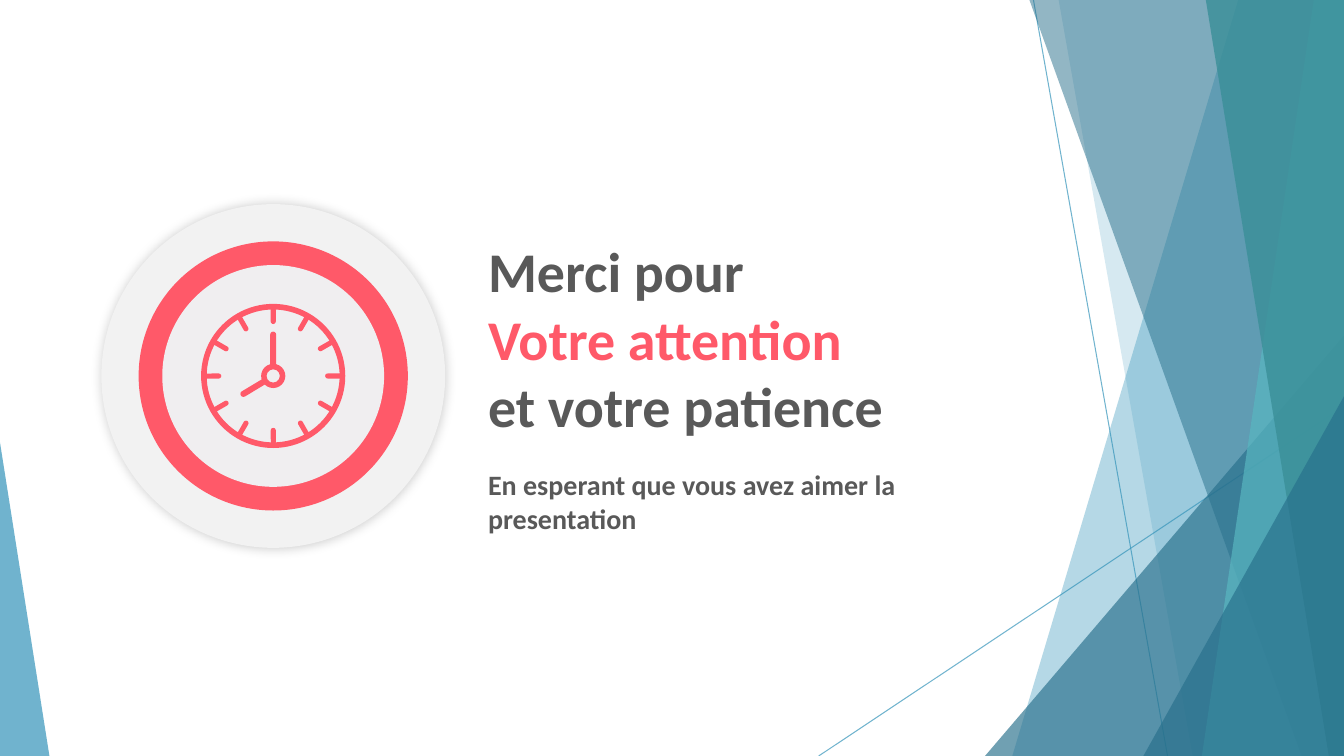
from math import cos, radians, sin

from lxml.etree import SubElement
from pptx import Presentation
from pptx.dml.color import RGBColor
from pptx.enum.shapes import MSO_CONNECTOR, MSO_SHAPE
from pptx.enum.text import MSO_ANCHOR, MSO_AUTO_SIZE, PP_ALIGN
from pptx.oxml.ns import qn
from pptx.util import Inches, Pt

BLUE = RGBColor(0x34, 0x94, 0xBA)
DARK_BLUE = RGBColor(0x27, 0x6F, 0x8B)
TEAL = RGBColor(0x58, 0xB6, 0xC0)
DARK_TEAL = RGBColor(0x3A, 0x8F, 0x98)
GRAY = RGBColor(0x59, 0x59, 0x59)
CORAL = RGBColor(0xFF, 0x59, 0x69)
DISC_GRAY = RGBColor(0xF2, 0xF2, 0xF2)
DIAL_GRAY = RGBColor(0xF0, 0xEE, 0xF0)
FONT = "Calibri"
WIDTH, HEIGHT = 13.33, 7.5

TITLE = [("Merci pour", GRAY), ("Votre attention", CORAL), ("et votre patience", GRAY)]
SUBTITLE = [("En esperant que vous avez aimer la presentation", GRAY)]

THIN_LINES = [(10.25, 0, 11.58, HEIGHT), (WIDTH, 4.03, 8.12, HEIGHT)]

# Bands: top x, bottom x, reaching the right edge. Peaks: left, top, width, apex.
FACETS = [
    ("band", (12.28, 10.04), BLUE, 36),
    ("band", (10.5, 11.83), BLUE, 20),
    ("peak", (9.77, 3.33, 3.56, 1), DARK_BLUE, 66),
    ("band", (10.21, 12.91), DARK_BLUE, 50),
    ("band", (13.03, 11.92), TEAL, 70),
    ("band", (11.96, 13.18), DARK_TEAL, 80),
    ("peak", (11.34, 3.93, 1.99, 1), DARK_BLUE, 66),
    ("peak", (0, 4.39, 0.49, 0), BLUE, 70),
]

CLOCK_X, CLOCK_Y = 2.71, 3.73
DISCS = [(3.41, DISC_GRAY), (2.67, CORAL), (2.2, DIAL_GRAY)]
RINGS = [(1.43, 0.039), (0.24, 0.226)]  # diameter, relative thickness
HANDS = [(239, 0.23, 0.29), (0, 0.27, 0.34)]  # angle, distance of middle, length
TICK_DISTANCE, TICK_LENGTH = 0.6, 0.17


def set_opacity(shape, percent):
    color = shape.element.spPr.find(".//" + qn("a:srgbClr"))
    SubElement(color, qn("a:alpha"), val=str(percent * 1000))


def paint(shape, color):
    shape.shadow.inherit = False
    shape.fill.solid()
    shape.fill.fore_color.rgb = color
    shape.line.fill.background()
    return shape


def add_centred(page, kind, x, y, width, height, color):
    shape = page.shapes.add_shape(
        kind, Inches(x - width / 2), Inches(y - height / 2), Inches(width), Inches(height))
    return paint(shape, color)


def add_thin_line(page, ends):
    line = page.shapes.add_connector(MSO_CONNECTOR.STRAIGHT, *map(Inches, ends))
    line.line.color.rgb = BLUE
    line.line.width = Pt(0.75)
    set_opacity(line, 70)
    SubElement(line.element.spPr, qn("a:effectLst"))


def add_facet(page, kind, geometry, color, opacity):
    if kind == "band":
        top_x, bottom_x = geometry
        outline = page.shapes.build_freeform(Inches(top_x), 0)
        corners = [(WIDTH, 0), (WIDTH, HEIGHT), (bottom_x, HEIGHT)]
        outline.add_line_segments([(Inches(x), Inches(y)) for x, y in corners])
        facet = outline.convert_to_shape()
    else:
        left, top, width, apex = geometry
        facet = page.shapes.add_shape(
            MSO_SHAPE.ISOSCELES_TRIANGLE,
            Inches(left), Inches(top), Inches(width), Inches(HEIGHT - top))
        facet.adjustments[0] = apex
    paint(facet, color)
    set_opacity(facet, opacity)


def add_spoke(page, kind, angle, distance, width, length):
    """Bar pointing away from the clock's centre, clockwise from twelve."""
    x = CLOCK_X + distance * sin(radians(angle))
    y = CLOCK_Y - distance * cos(radians(angle))
    spoke = add_centred(page, kind, x, y, width, length, CORAL)
    spoke.rotation = angle
    spoke.adjustments[0] = 0.5


def add_clock(page):
    for diameter, color in DISCS:
        disc = add_centred(page, MSO_SHAPE.OVAL, CLOCK_X, CLOCK_Y, diameter, diameter, color)
        if color == DISC_GRAY:
            effects = disc.element.spPr.find(qn("a:effectLst"))
            shadow = SubElement(effects, qn("a:outerShdw"), blurRad=str(Pt(8)), dist="0",
                                dir="0", algn="ctr", rotWithShape="0")
            black = SubElement(shadow, qn("a:srgbClr"), val="000000")
            SubElement(black, qn("a:alpha"), val="20000")
    for angle in range(0, 360, 30):
        add_spoke(page, MSO_SHAPE.ROUNDED_RECTANGLE, angle, TICK_DISTANCE, 0.05, TICK_LENGTH)
    for diameter, thickness in RINGS:
        ring = add_centred(page, MSO_SHAPE.DONUT, CLOCK_X, CLOCK_Y, diameter, diameter, CORAL)
        ring.adjustments[0] = thickness
    for angle, distance, length in HANDS:
        add_spoke(page, MSO_SHAPE.ROUND_2_SAME_RECTANGLE, angle, distance, 0.06, length)


def fill_placeholder(box, place, lines, size):
    box.left, box.top, box.width, box.height = map(Inches, place)
    frame = box.text_frame
    frame.word_wrap = True
    frame.auto_size = MSO_AUTO_SIZE.NONE
    frame.vertical_anchor = MSO_ANCHOR.TOP
    for index, (text, color) in enumerate(lines):
        para = frame.add_paragraph() if index else frame.paragraphs[0]
        para.alignment = PP_ALIGN.LEFT
        para.space_before = Pt(0)
        span = para.add_run()
        span.text = text
        span.font.name = FONT
        span.font.size = Pt(size)
        span.font.bold = True
        span.font.color.rgb = color


def main():
    deck = Presentation()
    deck.slide_width, deck.slide_height = Inches(WIDTH), Inches(HEIGHT)
    page = deck.slides.add_slide(deck.slide_layouts[0])
    for ends in THIN_LINES:
        add_thin_line(page, ends)
    for facet in FACETS:
        add_facet(page, *facet)
    fill_placeholder(page.shapes.title, (4.74, 2.3, 5.64, 2.68), TITLE, 40)
    fill_placeholder(page.placeholders[1], (4.74, 4.59, 4.82, 0.77), SUBTITLE, 20)
    add_clock(page)
    deck.save("out.pptx")


if __name__ == "__main__":
    main()
